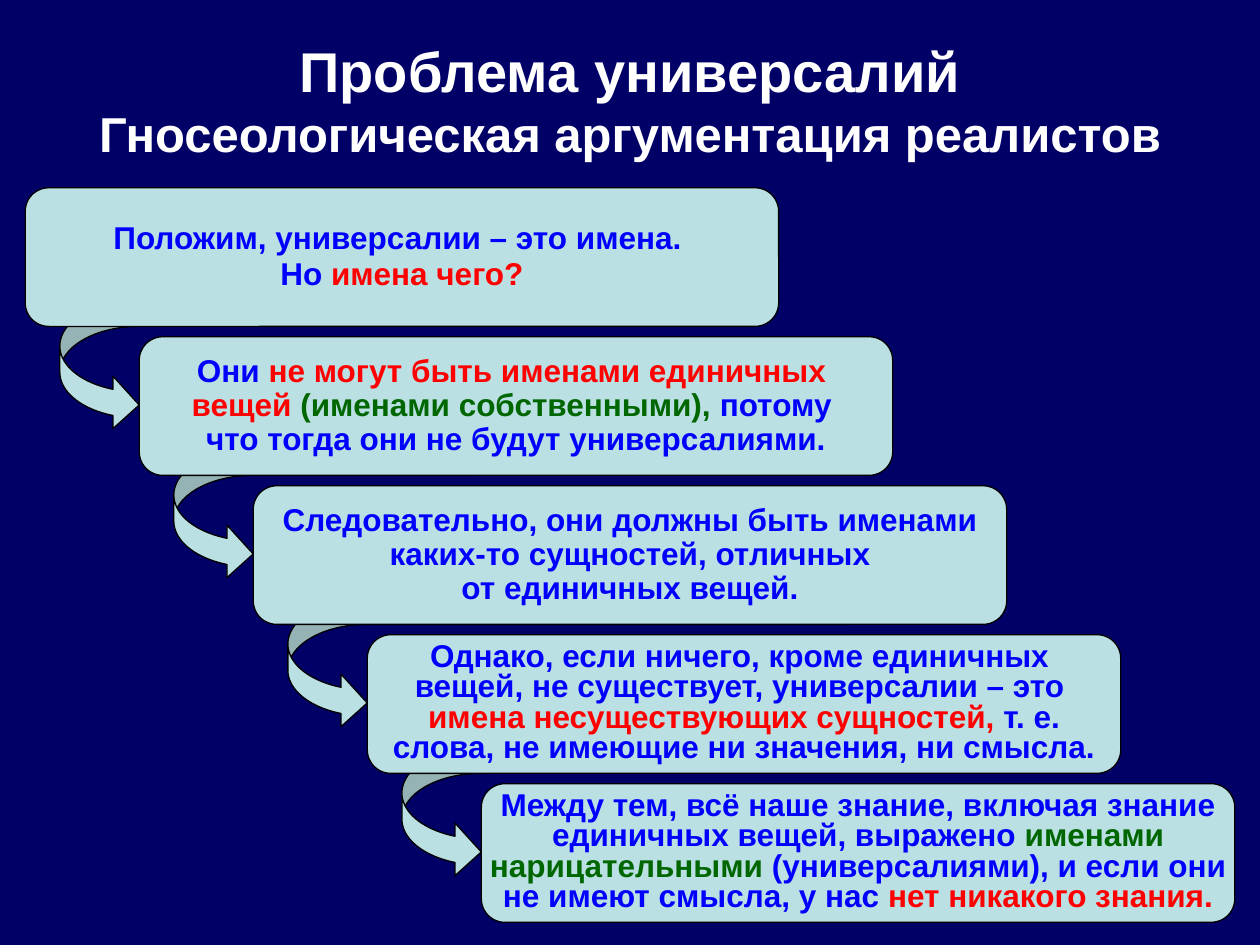
"""Builds a slide with a staircase of five arguments about universals."""
from dataclasses import dataclass

from pptx import Presentation as Deck
from pptx.dml.color import RGBColor as Rgb
from pptx.enum.shapes import MSO_SHAPE as Kind
from pptx.enum.text import MSO_ANCHOR as Anchor, MSO_AUTO_SIZE as Fit, PP_ALIGN as Align
from pptx.util import Inches, Pt

HUES = {
    "back": "000066", "box": "BBE0E3", "edge": "000000", "white": "FFFFFF",
    "blue": "0000FF", "red": "FF0000", "green": "006600",
}
WIDE, HIGH = Inches(10), Inches(7.5)
FIRST, LAST = (2, 19.87), (38.2, 82.93)
BOX = (59.8, 14.67)
ARROW = (6.3, 13.87)
RISE = 3.87


@dataclass(frozen=True)
class Piece:
    text: str
    hue: str = "blue"
    size: int = 18


@dataclass(frozen=True)
class Step:
    words: tuple[Piece, ...]
    space: float
    inset: float = 0.1


TITLE = (
    Piece("Проблема универсалий\n", "white", 32),
    Piece("Гносеологическая аргументация реалистов", "white", 28),
)
STEPS = (
    Step((
        Piece("Положим, универсалии – это имена. \nНо "),
        Piece("имена чего?", "red"),
    ), 0.95),
    Step((
        Piece("Они "),
        Piece("не могут быть именами единичных \nвещей ", "red"),
        Piece("(именами собственными), ", "green"),
        Piece("потому \nчто тогда они не будут универсалиями."),
    ), 0.9),
    Step((
        Piece("Следовательно, они должны быть именами\n"
              "каких-то сущностей, отличных\nот единичных вещей."),
    ), 0.9),
    Step((
        Piece("Однако, если ничего, кроме единичных \n"
              "вещей, не существует, универсалии – это \n"),
        Piece("имена несуществующих сущностей, ", "red"),
        Piece("т. е. слова, не имеющие ни значения, ни смысла."),
    ), 0.8),
    Step((
        Piece("Между тем, всё наше знание, включая знание\n"
              "единичных вещей, выражено "),
        Piece("именами\nнарицательными ", "green"),
        Piece("(универсалиями), и если они\nне имеют смысла, у нас "),
        Piece("нет никакого знания.", "red"),
    ), 0.8, 0),
)


def tint(name: str) -> Rgb:
    return Rgb.from_string(HUES[name])


def place(left: float, top: float, wide: float, high: float) -> tuple[int, ...]:
    """Turn percent shares of the slide into lengths."""
    return tuple(int(share * full / 100) for share, full in
                 zip((left, top, wide, high), (WIDE, HIGH, WIDE, HIGH)))


def spot(row: int) -> tuple[float, float]:
    """Return the left and top shares of one stair."""
    left, top = (a + (b - a) * row / (len(STEPS) - 1) for a, b in zip(FIRST, LAST))
    return left, top


def write(frame, words: tuple[Piece, ...], *, space: float = 1.0,
          inset: float = 0.1, font: str = "Arial", bold: bool = True) -> None:
    """Fill a text frame with one centred paragraph of coloured pieces."""
    frame.word_wrap, frame.auto_size = True, Fit.NONE
    frame.vertical_anchor = Anchor.MIDDLE
    frame.margin_left = frame.margin_right = Inches(inset)
    frame.margin_top = frame.margin_bottom = Inches(0.05)
    para = frame.paragraphs[0]
    para.alignment, para.line_spacing, para.space_before = Align.CENTER, space, Pt(0)
    for piece in words:
        for count, line in enumerate(piece.text.split("\n")):
            if count:
                para.add_line_break()
            if line:
                run = para.add_run()
                run.text = line
                run.font.name, run.font.size = font, Pt(piece.size)
                run.font.bold = bold
                run.font.color.rgb = tint(piece.hue)


def draw(slide, kind: Kind, area: tuple[int, ...], bends: tuple[float, ...]):
    """Add a pale outlined shape without shadow."""
    shape = slide.shapes.add_shape(kind, *area)
    shape.shadow.inherit = False
    shape.fill.solid()
    shape.fill.fore_color.rgb = tint("box")
    shape.line.color.rgb = tint("edge")
    shape.line.width = Pt(0.75)
    for slot, bend in enumerate(bends):
        shape.adjustments[slot] = bend
    return shape


def main() -> None:
    """Draw the title, the arrows and the stairs."""
    deck = Deck()
    deck.slide_width, deck.slide_height = WIDE, HIGH
    slide = deck.slides.add_slide(deck.slide_layouts[5])
    slide.background.fill.solid()
    slide.background.fill.fore_color.rgb = tint("back")

    title = slide.shapes.title
    title.left, title.top, title.width, title.height = place(5, 4, 90, 13.07)
    write(title.text_frame, TITLE)

    for row in range(len(STEPS) - 1, 0, -1):
        left, top = spot(row)
        draw(slide, Kind.CURVED_RIGHT_ARROW,
             place(left - ARROW[0], top - RISE, *ARROW), (0.33, 0.66, 0.33))
    for row, step in enumerate(STEPS):
        box = draw(slide, Kind.ROUNDED_RECTANGLE, place(*spot(row), *BOX), (0.17,))
        write(box.text_frame, step.words, space=step.space, inset=step.inset)
    deck.save("out.pptx")


if __name__ == "__main__":
    main()
